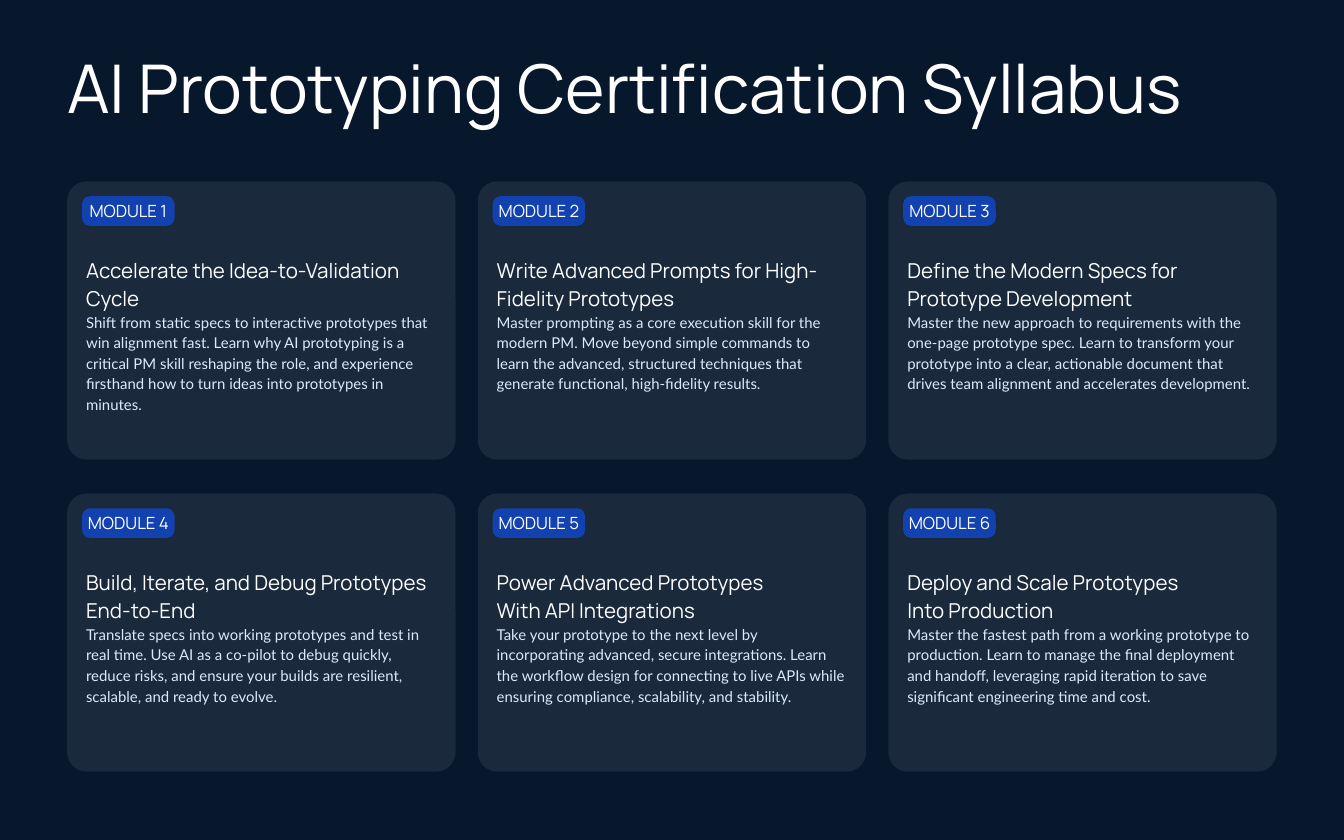
from dataclasses import dataclass
from typing import Any

from pptx import Presentation
from pptx import util as u
from pptx.dml.color import RGBColor
from pptx.enum import shapes, text
from pptx.oxml import ns, xmlchemy

COLORS = {"night": "07182C", "white": "FFFFFF", "badge": "1241B0", "ice": "DBEAFE"}
FONTS = {
    "title": {"name": "Manrope", "size": u.Pt(36)},
    "badge": {"name": "Manrope", "size": u.Pt(9)},
    "heading": {"name": "Manrope", "size": u.Pt(11)},
    "summary": {"name": "Lato", "size": u.Pt(8)},
}
CENTERED_FRAME = {
    "word_wrap": True, "vertical_anchor": text.MSO_ANCHOR.MIDDLE,
    "margin_left": 0, "margin_top": 0, "margin_right": 0, "margin_bottom": 0,
}
CARD_FRAME = {
    "word_wrap": True, "vertical_anchor": text.MSO_ANCHOR.TOP,
    "margin_left": u.Cm(0.25), "margin_top": u.Cm(1.27),
    "margin_right": u.Cm(0.25), "margin_bottom": u.Cm(0.25),
}
TITLE_FRAME = {**CENTERED_FRAME, "auto_size": text.MSO_AUTO_SIZE.SHAPE_TO_FIT_TEXT}
COLUMNS = 3
LEFT, TOP = 1.27, 3.43
CARD_WIDTH, CARD_HEIGHT = 7.34, 5.26
COLUMN_STEP, ROW_STEP = 7.76, 5.9
BADGE_OFFSET = 0.28


@dataclass(frozen=True)
class Module:
    heading: str
    summary: str


MODULES = [
    Module("Accelerate the Idea-to-Validation Cycle",
           "Shift from static specs to interactive prototypes that win alignment fast. "
           "Learn why AI prototyping is a critical PM skill reshaping the role, and "
           "experience firsthand how to turn ideas into prototypes in minutes."),
    Module("Write Advanced Prompts for High-Fidelity Prototypes",
           "Master prompting as a core execution skill for the modern PM. Move beyond "
           "simple commands to learn the advanced, structured techniques that generate "
           "functional, high-fidelity results."),
    Module("Define the Modern Specs for Prototype Development",
           "Master the new approach to requirements with the one-page prototype spec. "
           "Learn to transform your prototype into a clear, actionable document that "
           "drives team alignment and accelerates development."),
    Module("Build, Iterate, and Debug Prototypes End-to-End",
           "Translate specs into working prototypes and test in real time. Use AI as a "
           "co-pilot to debug quickly, reduce risks, and ensure your builds are "
           "resilient, scalable, and ready to evolve."),
    Module("Power Advanced Prototypes\vWith API Integrations",
           "Take your prototype to the next level by incorporating advanced, secure "
           "integrations. Learn the workflow design for connecting to live APIs while "
           "ensuring compliance, scalability, and stability."),
    Module("Deploy and Scale Prototypes\vInto Production",
           "Master the fastest path from a working prototype to production. Learn to "
           "manage the final deployment and handoff, leveraging rapid iteration to save "
           "significant engineering time and cost."),
]


def apply(target: Any, values: dict[str, Any]) -> None:
    for attribute, value in values.items():
        setattr(target, attribute, value)


def write(paragraph: Any, words: str, style: str, color: str, **layout: Any) -> None:
    paragraph.text = words
    apply(paragraph, layout)
    for run in paragraph.runs:
        apply(run.font, FONTS[style])
        run.font.color.rgb = RGBColor.from_string(COLORS[color])


def add_panel(slide: Any, left: float, top: float, width: float, height: float,
              corner: float, color: str) -> Any:
    panel = slide.shapes.add_shape(
        shapes.MSO_SHAPE.ROUNDED_RECTANGLE,
        u.Cm(left), u.Cm(top), u.Cm(width), u.Cm(height))
    panel.adjustments[0] = corner
    panel.shadow.inherit = False
    panel.line.fill.background()
    panel.fill.solid()
    panel.fill.fore_color.rgb = RGBColor.from_string(COLORS[color])
    return panel


def set_opacity(panel: Any, percent: int) -> None:
    tint = panel.element.spPr.find(ns.qn("a:solidFill")).find(ns.qn("a:srgbClr"))
    alpha = xmlchemy.OxmlElement("a:alpha")
    alpha.set("val", str(percent * 1000))
    tint.append(alpha)


def add_module(slide: Any, index: int, module: Module) -> None:
    row, column = divmod(index, COLUMNS)
    left, top = LEFT + column * COLUMN_STEP, TOP + row * ROW_STEP

    card = add_panel(slide, left, top, CARD_WIDTH, CARD_HEIGHT, 0.07, "white")
    set_opacity(card, 8)
    content = card.text_frame
    apply(content, CARD_FRAME)
    layout = {"alignment": text.PP_ALIGN.LEFT, "line_spacing": 1.15}
    write(content.paragraphs[0], module.heading, "heading", "white", **layout)
    write(content.add_paragraph(), module.summary, "summary", "ice", **layout)

    badge = add_panel(slide, left + BADGE_OFFSET, top + BADGE_OFFSET,
                      1.75, 0.56, 0.27, "badge")
    apply(badge.text_frame, CENTERED_FRAME)
    write(badge.text_frame.paragraphs[0], f"MODULE {index + 1}", "badge", "white",
          alignment=text.PP_ALIGN.CENTER)


def main() -> None:
    deck = Presentation()
    apply(deck, {"slide_width": u.Cm(25.4), "slide_height": u.Cm(15.88)})
    slide = deck.slides.add_slide(deck.slide_layouts[6])
    slide.background.fill.solid()
    slide.background.fill.fore_color.rgb = RGBColor.from_string(COLORS["night"])

    title = slide.shapes.add_textbox(u.Cm(LEFT), u.Cm(1.27), u.Cm(22.86), u.Cm(1.02))
    apply(title.text_frame, TITLE_FRAME)
    write(title.text_frame.paragraphs[0], "AI Prototyping Certification Syllabus",
          "title", "white", line_spacing=0.8)

    for index, module in enumerate(MODULES):
        add_module(slide, index, module)
    deck.save("out.pptx")


if __name__ == "__main__":
    main()
